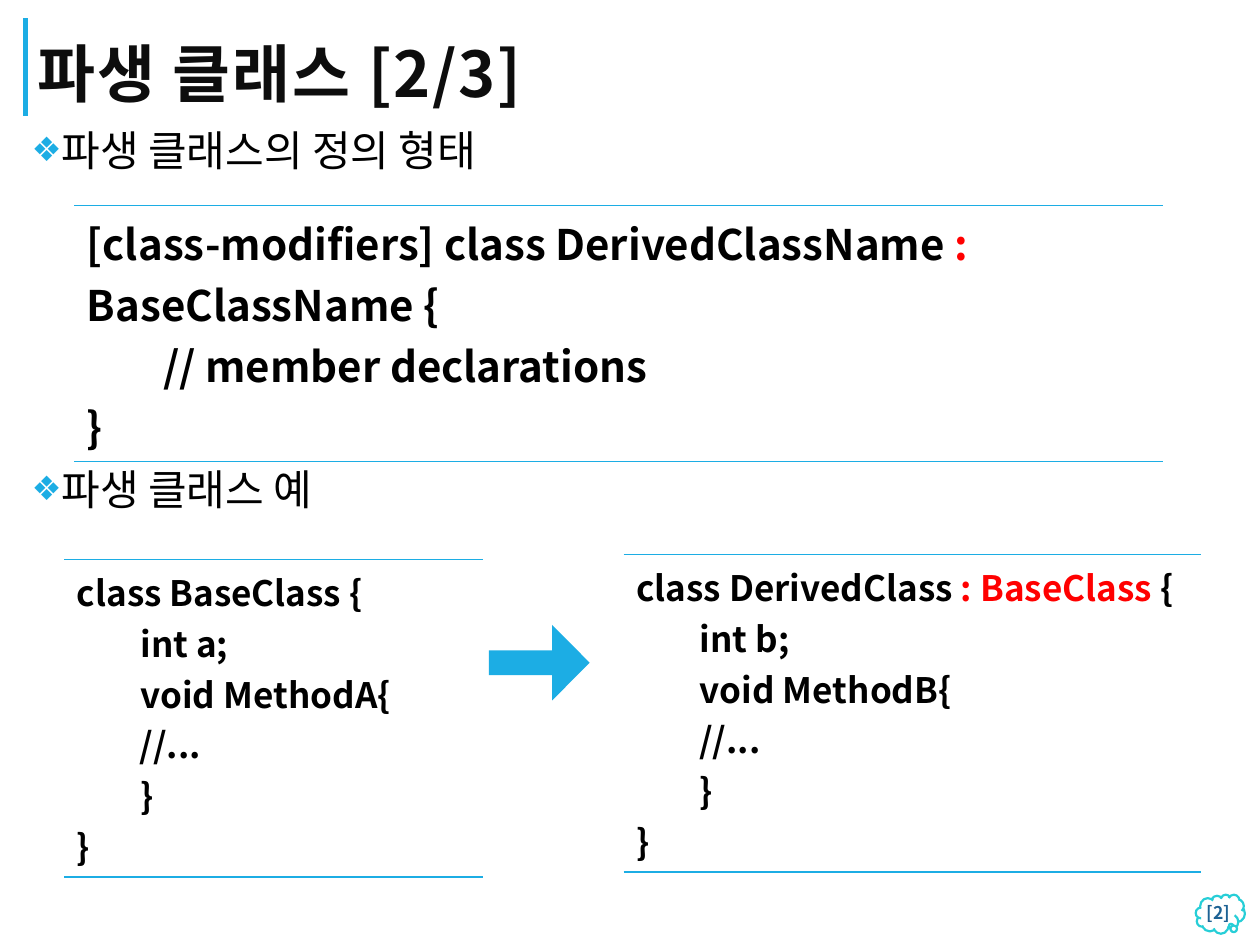
from lxml import etree
from pptx import Presentation
from pptx.dml.color import RGBColor
from pptx.enum.shapes import MSO_CONNECTOR, MSO_SHAPE
from pptx.enum.text import MSO_ANCHOR, MSO_AUTO_SIZE, PP_ALIGN
from pptx.oxml import parse_xml
from pptx.oxml.ns import nsdecls, qn
from pptx.util import Inches, Pt

CLOUD, ARROW = MSO_SHAPE.CLOUD_CALLOUT, MSO_SHAPE.RIGHT_ARROW
TOP, MIDDLE, BOTTOM = MSO_ANCHOR.TOP, MSO_ANCHOR.MIDDLE, MSO_ANCHOR.BOTTOM
LEFT, RIGHT = PP_ALIGN.LEFT, PP_ALIGN.RIGHT
FONT = "Noto Sans CJK KR"
BLUE, BLACK, RED = "1CADE4", "000000", "FF0000"


def rgb(value):
    return RGBColor.from_string(value)


def add_text(p, text, size=24, color=BLACK, bold=False, spacing=0):
    r = p.add_run()
    r.text = text
    r.font.size, r.font.bold, r.font.name = Pt(size), bold, FONT
    r.font.color.rgb = rgb(color)
    rPr = r.font._element
    etree.SubElement(rPr, qn("a:ea")).set("typeface", FONT)
    if spacing:
        rPr.set("spc", str(spacing * 100))


prs = Presentation()
prs.slide_width, prs.slide_height = Inches(10), Inches(7.5)
slide = prs.slides.add_slide(prs.slide_layouts[1])
shapes = slide.shapes
title, body = shapes.title, slide.placeholders[1]

# Accent bar beside the title
bar = shapes.add_connector(MSO_CONNECTOR.STRAIGHT, Inches(0.2), Inches(0.92),
                           Inches(0.2), Inches(0.14))
bar.line.color.rgb, bar.line.width = rgb(BLUE), Pt(3)
etree.SubElement(bar._element.spPr, qn("a:effectLst"))

# Title and body frames
for sp, box, anchor in ((title, (0.2, 0.14, 7.97, 0.78), BOTTOM),
                        (body, (0.2, 0.98, 9.61, 6.14), TOP)):
    sp.left, sp.top, sp.width, sp.height = map(Inches, box)
    sp.text_frame.auto_size = MSO_AUTO_SIZE.NONE
    sp.text_frame.vertical_anchor = anchor

p = title.text_frame.paragraphs[0]
p.alignment, p.line_spacing = LEFT, 0.8
add_text(p, "파생 클래스 [2/3]", size=36, color="0D0D0D", bold=True, spacing=1)

# Bulleted headings, the second one below the first code box
tf = body.text_frame
tf.margin_left = tf.margin_right = tf.margin_top = tf.margin_bottom = Inches(0.05)
for i, (text, before) in enumerate((("파생 클래스의 정의 형태", 0), ("파생 클래스 예", 166))):
    p = tf.add_paragraph() if i else tf.paragraphs[0]
    p.line_spacing, p.space_before, p.space_after = 0.9, Pt(before), Pt(2)
    pPr = p._p.get_or_add_pPr()
    pPr.set("marL", str(Inches(0.2)))
    pPr.set("indent", str(Inches(-0.38)))
    for bullet in (f'<a:buClr {nsdecls("a")}><a:srgbClr val="{BLUE}"/></a:buClr>',
                   f'<a:buSzPct {nsdecls("a")} val="80000"/>',
                   f'<a:buChar {nsdecls("a")} char="❖"/>'):
        pPr.append(parse_xml(bullet))
    add_text(p, text)

# Code boxes: one-cell tables ruled above and below; each line is a list of runs
def_code = [
    [("[class-modifiers] class DerivedClassName ", BLACK), (": ", RED),
     ("BaseClassName {", BLACK)],
    [("        // member declarations", BLACK)],
    [("}", BLACK)],
]


def class_code(heading, field, method):
    rest = (f"        int {field};", f"        void {method}{{", "\t//...", "        }", "}")
    return [heading] + [[(line, BLACK)] for line in rest]


base_code = class_code([("class BaseClass {", BLACK)], "a", "MethodA")
derived_code = class_code([("class DerivedClass ", BLACK), (": BaseClass ", RED),
                           ("{", BLACK)], "b", "MethodB")

for box, size, code in (((0.59, 1.63, 8.64, 1.7), 24, def_code),
                        ((0.51, 4.44, 3.32, 2.1), 20, base_code),
                        ((4.95, 4.4, 4.58, 2.1), 20, derived_code)):
    table = shapes.add_table(1, 1, *map(Inches, box)).table
    table.first_row = table.horz_banding = False
    cell = table.cell(0, 0)
    tcPr = cell._tc.get_or_add_tcPr()
    for side in "LRTB":
        ln = etree.SubElement(tcPr, qn(f"a:ln{side}"), w=str(Pt(1)))
        if side in "TB":
            fill = etree.SubElement(ln, qn("a:solidFill"))
            etree.SubElement(fill, qn("a:srgbClr"), val=BLUE)
        else:
            etree.SubElement(ln, qn("a:noFill"))
    cell.fill.background()
    for i, line in enumerate(code):
        p = cell.text_frame.add_paragraph() if i else cell.text_frame.paragraphs[0]
        for text, color in line:
            add_text(p, text, size=size, color=color, bold=True)

# Arrow from base to derived class, and the page-number cloud
for kind, box, adj, color in ((ARROW, (3.88, 4.96, 0.8, 0.6), (0.327, 0.496), BLUE),
                              (CLOUD, (9.49, 7.1, 0.39, 0.31), (0.204, 0.282), "FFFFFF")):
    sp = shapes.add_shape(kind, *map(Inches, box))
    sp.shadow.inherit = False
    sp.adjustments[0], sp.adjustments[1] = adj
    sp.fill.solid()
    sp.fill.fore_color.rgb = rgb(color)
    if kind == CLOUD:
        sp.line.color.rgb, sp.line.width = rgb("27CED7"), Pt(1.25)
    else:
        sp.line.fill.background()

# Page number
tf = shapes.add_textbox(*map(Inches, (9.23, 7.07, 0.63, 0.34))).text_frame
tf.word_wrap, tf.vertical_anchor = True, MIDDLE
p = tf.paragraphs[0]
p.alignment = RIGHT
add_text(p, "[2]", size=10, color="1D6294", bold=True)

prs.save("out.pptx")
